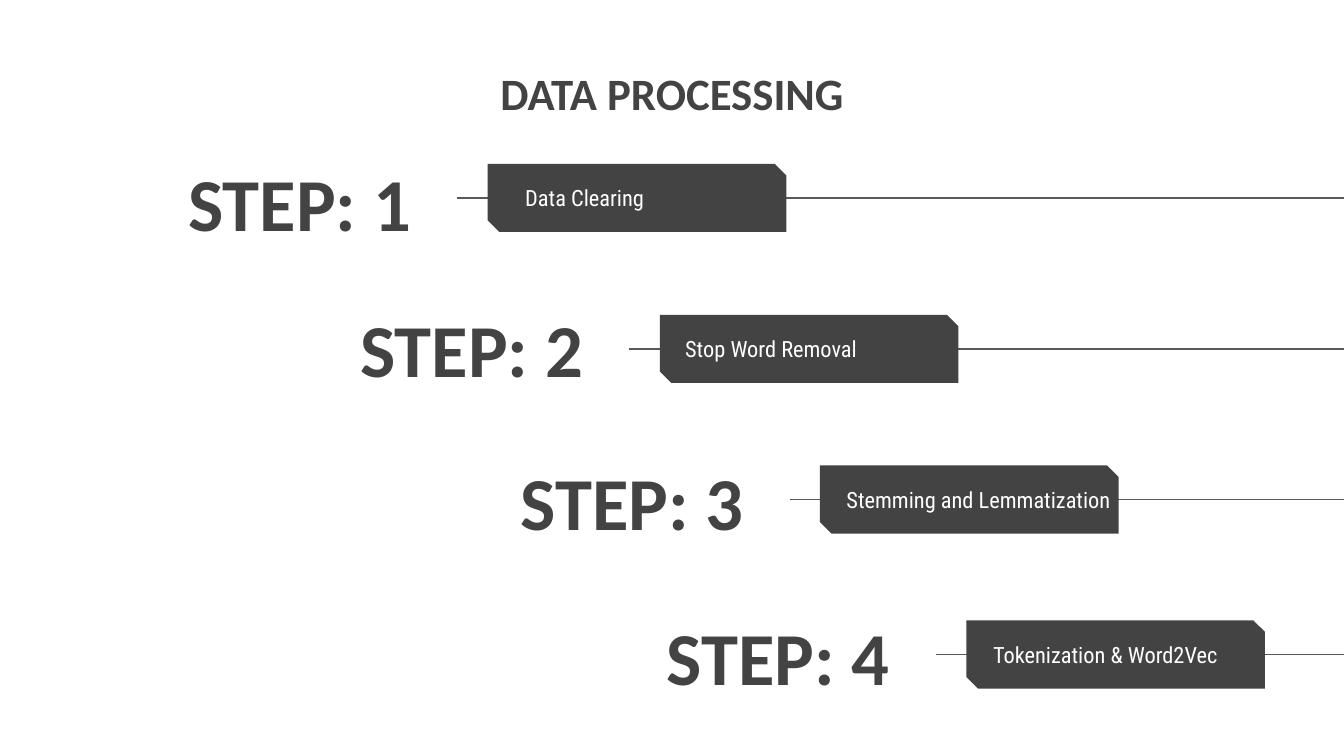
from lxml.etree import SubElement
from pptx import Presentation
from pptx.dml.color import RGBColor
from pptx.enum.shapes import MSO_CONNECTOR, MSO_SHAPE
from pptx.enum.text import MSO_ANCHOR, PP_ALIGN
from pptx.oxml.ns import qn
from pptx.util import Pt

SLIDE_WIDTH, SLIDE_HEIGHT = 720, 405
DARK, LINE, WHITE = "434343", "595959", "FFFFFF"
HEADING_FONT, BODY_FONT = "Calibri", "Roboto Condensed"

TITLE = "DATA PROCESSING"
# label, caption, bar left, bar top, label top, caption left
STEPS = [
    ("STEP: 1", "Data Clearing", 261.3, 87.8, 77.8, 274.3),
    ("STEP: 2", "Stop Word Removal", 353.5, 168.7, 156.2, 360),
    ("STEP: 3", "Stemming and Lemmatization", 439.3, 249.4, 238.3, 446.4),
    ("STEP: 4", "Tokenization & Word2Vec", 517.7, 332.4, 321.1, 524.9),
]
BAR_WIDTH, BAR_HEIGHT = 160, 36.5
LABEL_WIDTH, LABEL_HEIGHT, LABEL_GAP = 159, 60, 34
CAPTION_WIDTH, CAPTION_HEIGHT = 257, 26.6
LINE_LEAD = 16.3


def color(value):
    return RGBColor.from_string(value)


def write(shape, text, size, font_name, font_color, bold, alignment, anchor):
    frame = shape.text_frame
    frame.text = text
    frame.word_wrap = True
    frame.vertical_anchor = anchor
    frame.margin_left = frame.margin_right = Pt(7.2)
    frame.margin_top = frame.margin_bottom = Pt(7.2)
    paragraph = frame.paragraphs[0]
    paragraph.alignment = alignment
    font = paragraph.runs[0].font
    font.size, font.name, font.bold = Pt(size), font_name, bold
    font.color.rgb = color(font_color)


def add_line(slide, left, y):
    """Draw a thin line from left to the right edge of the slide."""
    line = slide.shapes.add_connector(
        MSO_CONNECTOR.STRAIGHT, Pt(SLIDE_WIDTH), Pt(y), Pt(left), Pt(y))
    line.line.color.rgb = color(LINE)
    line.line.width = Pt(0.75)
    SubElement(line._element.spPr, qn("a:effectLst"))


def add_bar(slide, left, top):
    bar = slide.shapes.add_shape(
        MSO_SHAPE.SNIP_2_DIAG_RECTANGLE,
        Pt(left), Pt(top), Pt(BAR_WIDTH), Pt(BAR_HEIGHT))
    bar.adjustments[0], bar.adjustments[1] = 0, 0.17
    bar.fill.solid()
    bar.fill.fore_color.rgb = color(DARK)
    bar.line.fill.background()
    bar.shadow.inherit = False


def add_step(slide, label, caption, bar_left, bar_top, label_top, caption_left):
    middle = bar_top + BAR_HEIGHT / 2
    add_line(slide, bar_left - LINE_LEAD, middle)
    add_bar(slide, bar_left, bar_top)

    label_box = slide.shapes.add_textbox(
        Pt(bar_left - LABEL_GAP - LABEL_WIDTH), Pt(label_top),
        Pt(LABEL_WIDTH), Pt(LABEL_HEIGHT))
    write(label_box, label, 40, HEADING_FONT, DARK, True,
          PP_ALIGN.RIGHT, MSO_ANCHOR.MIDDLE)

    caption_width = min(CAPTION_WIDTH, SLIDE_WIDTH - caption_left)
    caption_box = slide.shapes.add_textbox(
        Pt(caption_left), Pt(middle - CAPTION_HEIGHT / 2),
        Pt(caption_width), Pt(CAPTION_HEIGHT))
    write(caption_box, caption, 12, BODY_FONT, WHITE, False,
          PP_ALIGN.LEFT, MSO_ANCHOR.MIDDLE)


def main():
    presentation = Presentation()
    presentation.slide_width = Pt(SLIDE_WIDTH)
    presentation.slide_height = Pt(SLIDE_HEIGHT)
    slide = presentation.slides.add_slide(presentation.slide_layouts[5])

    title = slide.shapes.title
    title.left, title.top = Pt(155), Pt(28)
    title.width, title.height = Pt(410), Pt(37)
    write(title, TITLE, 24, HEADING_FONT, DARK, True,
          PP_ALIGN.CENTER, MSO_ANCHOR.TOP)

    for step in STEPS:
        add_step(slide, *step)
    presentation.save("out.pptx")


if __name__ == "__main__":
    main()
